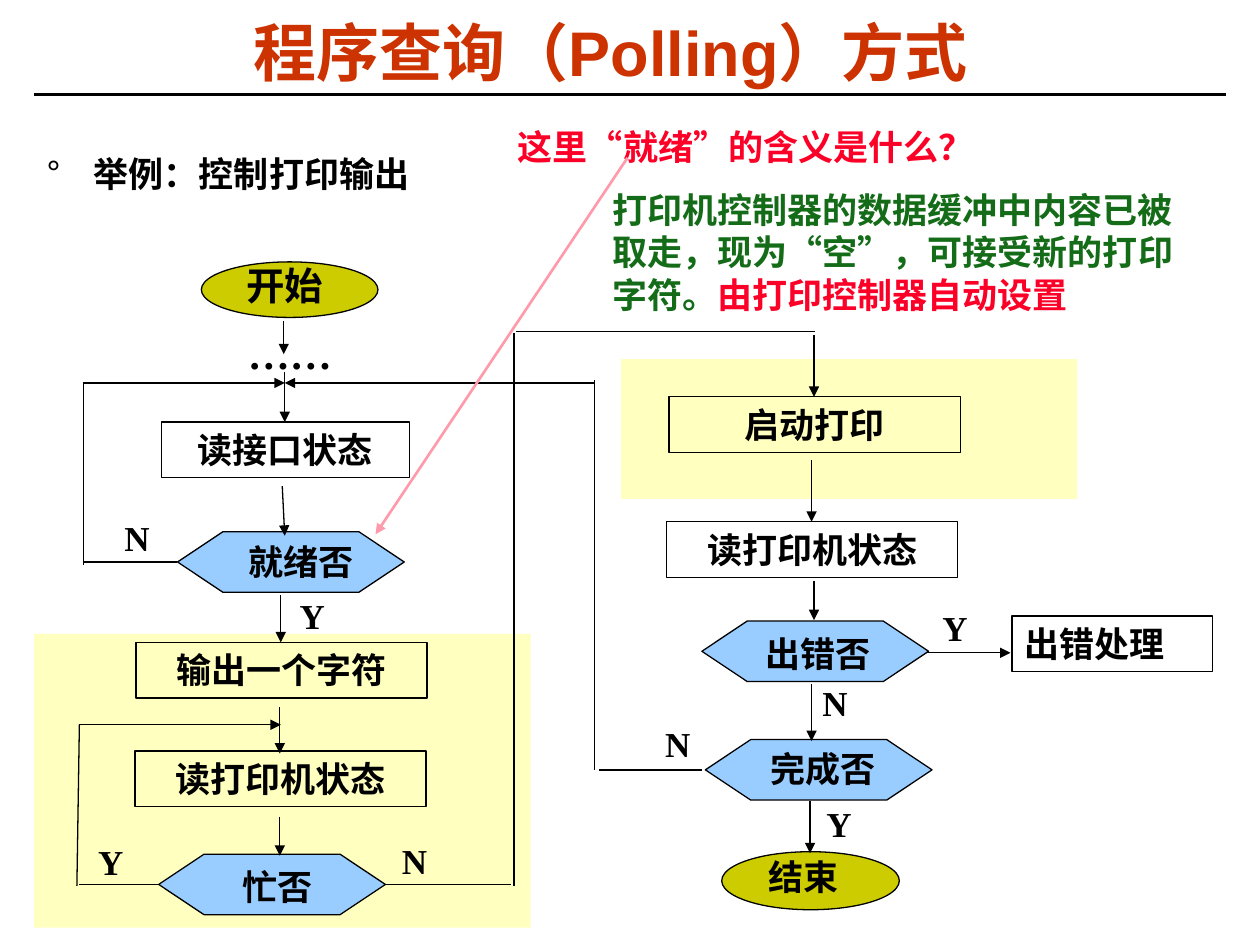
"""Build the slide on printer output under program polling, with its flow chart."""
from itertools import groupby

from lxml.etree import SubElement
from pptx import Presentation
from pptx.dml.color import RGBColor
from pptx.enum.shapes import MSO_CONNECTOR, MSO_SHAPE
from pptx.enum.text import MSO_ANCHOR, MSO_AUTO_SIZE, PP_ALIGN
from pptx.oxml.ns import qn
from pptx.util import Cm, Pt

BLACK, RED, GREEN, PINK = "000000", "FC0128", "146C18", "FE9AAB"
TITLE, OLIVE, BLUE, YELLOW = "CC3300", "CCCC00", "99CCFF", "FFFF99"
SERIF, SANS, CJK = "Times New Roman", "Arial", "Noto Sans CJK SC"
STEP_HEIGHT = 1.12


def color(value):
    return RGBColor.from_string(value)


class FlowSlide:
    """Holds the current slide and its style, and draws each kind of element."""

    def __init__(self, slide):
        self.slide = slide
        self.line_width = 0.75
        self.size = 20

    def format_run(self, run, font, size, ink):
        run.font.name = font
        run.font.size = Pt(size)
        run.font.bold = True
        run.font.color.rgb = color(ink)
        SubElement(run._r.get_or_add_rPr(), qn("a:ea")).set("typeface", CJK)

    def set_frame(self, frame, margins):
        frame.word_wrap = True
        frame.auto_size = MSO_AUTO_SIZE.NONE
        frame.vertical_anchor = MSO_ANCHOR.TOP
        frame.margin_left = frame.margin_right = Cm(margins[0])
        frame.margin_top = frame.margin_bottom = Cm(margins[1])

    def placeholder(self, index, text, box, size, ink, bullet=None):
        holder = self.slide.placeholders[index]
        holder.left, holder.top, holder.width, holder.height = map(Cm, box)
        frame = holder.text_frame
        self.set_frame(frame, (0.18, 0.08))
        frame.text = text
        paragraph = frame.paragraphs[0]
        paragraph.space_before = Pt(0)
        if bullet:
            props = paragraph._p.get_or_add_pPr()
            props.set("marL", str(Cm(0.95)))
            props.set("indent", str(Cm(-0.95)))
            SubElement(props, qn("a:buChar")).set("char", bullet)
        self.format_run(paragraph.runs[0], SANS, size, ink)
        return paragraph

    def fill_text(self, frame, spans, font, size, align):
        self.set_frame(frame, (0.25, 0.13))
        paragraph = frame.paragraphs[0]
        paragraph.alignment = align
        for text, ink in spans:
            for quoted, letters in groupby(text, lambda letter: letter in "“”"):
                run = paragraph.add_run()
                run.text = "".join(letters)
                self.format_run(run, CJK if quoted else font, size, ink)

    def label(self, text, left, top, width, height=STEP_HEIGHT, size=None, align=PP_ALIGN.LEFT):
        self.note([(text, BLACK)], left, top, width, height, SERIF, size, align)

    def note(self, spans, left, top, width, height, font=SANS, size=None, align=PP_ALIGN.LEFT):
        box = self.slide.shapes.add_textbox(Cm(left), Cm(top), Cm(width), Cm(height))
        self.fill_text(box.text_frame, spans, font, size or self.size, align)

    def outline(self, kind, left, top, width, height, fill=None):
        shape = self.slide.shapes.add_shape(kind, Cm(left), Cm(top), Cm(width), Cm(height))
        shape.shadow.inherit = False
        if fill:
            shape.fill.solid()
            shape.fill.fore_color.rgb = color(fill)
        else:
            shape.fill.background()
        shape.line.color.rgb = color(BLACK)
        shape.line.width = Pt(self.line_width)
        return shape

    def panel(self, left, top, width, height):
        shape = self.outline(MSO_SHAPE.RECTANGLE, left, top, width, height, YELLOW)
        shape.line.fill.background()
        tint = shape._element.spPr.find(qn("a:solidFill"))[0]
        SubElement(tint, qn("a:alpha")).set("val", "61000")

    def step(self, text, left, top, width=5.87, align=PP_ALIGN.CENTER):
        shape = self.outline(MSO_SHAPE.RECTANGLE, left, top, width, STEP_HEIGHT)
        self.fill_text(shape.text_frame, [(text, BLACK)], SERIF, self.size, align)

    def terminal(self, text, left, top, width, height, text_left, text_top, size):
        self.outline(MSO_SHAPE.OVAL, left, top, width, height, OLIVE)
        self.label(text, text_left, text_top, 3.48, size=size)

    def decision(self, text, left, top, text_left, text_top):
        self.outline(MSO_SHAPE.FLOWCHART_PREPARATION, left, top, 4.57, 1.22, BLUE)
        self.label(text, text_left, text_top, 3.1, align=PP_ALIGN.CENTER)

    def line(self, x1, y1, x2, y2, arrow=False, ink=BLACK, width=None):
        link = self.slide.shapes.add_connector(
            MSO_CONNECTOR.STRAIGHT, Cm(x1), Cm(y1), Cm(x2), Cm(y2))
        link.line.color.rgb = color(ink)
        link.line.width = Pt(width or self.line_width)
        if arrow:
            SubElement(link.line._get_or_add_ln(), qn("a:tailEnd")).set("type", "triangle")
        SubElement(link._element.spPr, qn("a:effectLst"))


def main():
    deck = Presentation()
    deck.slide_width, deck.slide_height = Cm(25.4), Cm(19.05)
    flow = FlowSlide(deck.slides.add_slide(deck.slide_layouts[1]))

    heading = flow.placeholder(0, "程序查询（Polling）方式", (1.9, 0.41, 20.83, 1.47), 36, TITLE)
    heading.alignment = PP_ALIGN.CENTER
    heading.line_spacing = 0.87
    flow.placeholder(1, "举例：控制打印输出", (0.76, 3, 11.18, 0.99), 20, BLACK, "°")
    flow.line(0.69, 1.9, 24.71, 1.9, width=1.5)

    flow.panel(12.52, 7.24, 9.19, 2.82)
    flow.panel(0.69, 12.78, 10.01, 5.92)

    flow.terminal("开始", 4.06, 5.28, 3.56, 1.12, 4.72, 5.16, 22)
    flow.terminal("结束", 14.55, 17.17, 3.58, 1.17, 15.24, 17.12, 20)
    flow.label("……", 4.75, 6.48, 3.02, 1.27, 24)

    flow.step("读接口状态", 3.25, 8.51, 5)
    flow.step("出错处理", 20.4, 12.42, 4.04, PP_ALIGN.LEFT)
    for text, left, top in [
        ("输出一个字符", 2.74, 12.95), ("读打印机状态", 2.72, 15.14),
        ("启动打印", 13.49, 8), ("读打印机状态", 13.44, 10.52),
    ]:
        flow.step(text, left, top)

    for question in [
        ("就绪否", 3.58, 10.72, 4.52, 10.77), ("忙否", 3.2, 17.22, 4.04, 17.32),
        ("出错否", 14.15, 12.52, 14.95, 12.62), ("完成否", 14.22, 14.91, 15.04, 14.94),
    ]:
        flow.decision(*question)

    for answer, left, top in [
        ("N", 2.26, 10.29), ("Y", 5.79, 11.86), ("N", 7.85, 16.79), ("Y", 1.73, 16.81),
        ("Y", 16.41, 16.05), ("N", 13.16, 14.43), ("N", 16.33, 13.61), ("Y", 18.75, 12.09),
    ]:
        flow.label(answer, left, top, 1.5)

    for x, start, end in [
        (5.72, 6.48, 7.14), (5.74, 7.49, 8.51), (5.66, 11.99, 12.95), (5.64, 14.25, 15.19),
        (5.64, 16.46, 17.25), (16.41, 6.76, 8), (16.36, 9.27, 10.52), (16.41, 11.71, 12.5),
        (16.36, 13.79, 14.94), (16.33, 16.15, 17.2),
    ]:
        flow.line(x, start, x, end, arrow=True)
    flow.line(5.69, 9.8, 5.74, 10.8, arrow=True)

    for y, start, end, arrow in [
        (13.16, 18.69, 20.37, True), (7.72, 1.68, 5.74, True), (7.72, 11.99, 5.74, True),
        (14.61, 1.6, 5.66, True), (6.68, 10.41, 16.43, False), (11.33, 3.56, 1.68, False),
        (17.83, 1.6, 3.18, False), (17.83, 7.77, 10.31, False), (15.52, 14.15, 12.07, False),
    ]:
        flow.line(start, y, end, y, arrow)

    flow.line(1.68, 7.72, 1.68, 11.38)
    flow.line(1.6, 14.61, 1.55, 17.86)
    flow.line(11.99, 7.67, 11.99, 15.52)
    flow.line(10.36, 6.71, 10.36, 17.86, width=1)

    flow.note([("这里“就绪”的含义是什么？", RED)], 10.19, 2.41, 12.65, 1.12)
    flow.note([
        ("打印机控制器的数据缓冲中内容已被取走，现为“空”，可接受新的打印字符。", GREEN),
        ("由打印控制器自动设置", RED),
    ], 12.09, 3.68, 12.4, 2.79)
    flow.line(12.65, 3.18, 7.57, 10.77, arrow=True, ink=PINK, width=1.5)

    deck.save("out.pptx")


if __name__ == "__main__":
    main()
